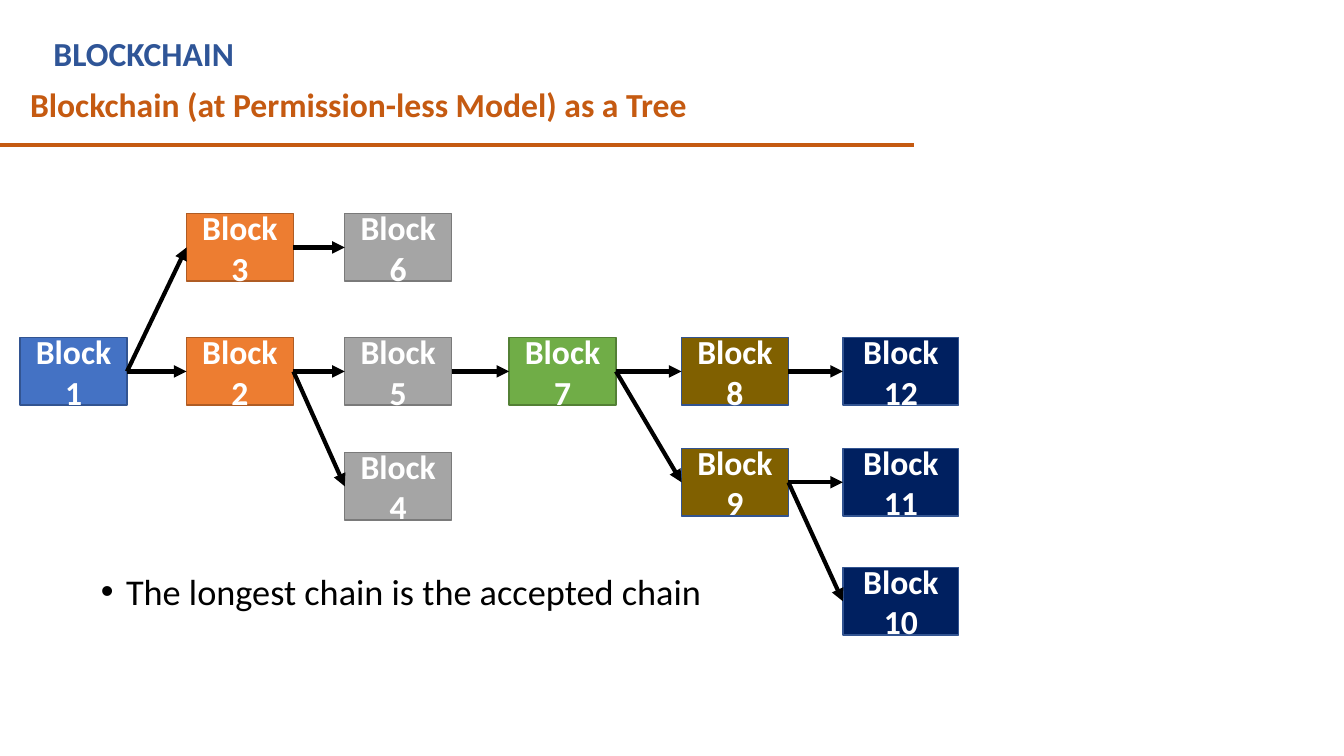
from lxml.etree import SubElement
from pptx import Presentation
from pptx.dml.color import RGBColor
from pptx.enum.shapes import MSO_CONNECTOR, MSO_SHAPE
from pptx.enum.text import MSO_ANCHOR, MSO_AUTO_SIZE, PP_ALIGN
from pptx.oxml.ns import qn
from pptx.util import Inches, Pt

COLOURS = {
    "heading": "2F5597", "accent": "C55A11", "ink": "000000", "white": "FFFFFF",
    "blue": "4472C4", "orange": "ED7D31", "grey": "A5A5A5", "green": "70AD47",
    "brown": "806000", "navy": "002060", "blue edge": "325491",
    "orange edge": "AF5C24", "grey edge": "7A7A7A", "green edge": "538035",
}
COLUMNS = [0.2, 1.85, 3.42, 5.05, 6.76, 8.36]
ROWS = {"top": 2.12, "main": 3.35, "fork": 4.45, "low fork": 4.49, "bottom": 5.63}
LEVELS = [
    ("blue", "blue edge", 1.06),
    ("orange", "orange edge", 1.06),
    ("grey", "grey edge", 1.06),
    ("green", "green edge", 1.06),
    ("brown", "blue edge", 1.06),
    ("navy", "blue edge", 1.15),
]
BLOCKS = {
    1: (0, "main"), 2: (1, "main"), 3: (1, "top"), 4: (2, "low fork"),
    5: (2, "main"), 6: (2, "top"), 7: (3, "main"), 8: (4, "main"),
    9: (4, "fork"), 10: (5, "bottom"), 11: (5, "fork"), 12: (5, "main"),
}
CHILDREN = {1: (2, 3), 3: (6,), 2: (5, 4), 5: (7,), 7: (8, 9), 8: (12,), 9: (11, 10)}
BLOCK_HEIGHT = 0.67
RIGHT_SIDE, LEFT_SIDE = 3, 1


def colour(name):
    """Return the named colour."""
    return RGBColor.from_string(COLOURS[name])


def place(shape, left, top, width, height):
    """Move and size a shape, in inches."""
    shape.left, shape.top = Inches(left), Inches(top)
    shape.width, shape.height = Inches(width), Inches(height)


def write(shape, text, size=24, ink="white", bold=True,
          align=PP_ALIGN.LEFT, anchor=MSO_ANCHOR.TOP):
    """Put one formatted paragraph in a shape and return it."""
    frame = shape.text_frame
    frame.word_wrap = True
    frame.auto_size = MSO_AUTO_SIZE.NONE
    frame.vertical_anchor = anchor
    para = frame.paragraphs[0]
    para.alignment = align
    span = para.add_run()
    span.text = text
    span.font.name = "Calibri"
    span.font.size = Pt(size)
    span.font.bold = bold
    span.font.color.rgb = colour(ink)
    return para


def add_bullet(para, indent):
    """Give a paragraph a round bullet with a hanging indent in inches."""
    properties = para._p.get_or_add_pPr()
    properties.set("marL", str(Inches(indent)))
    properties.set("indent", str(-Inches(indent)))
    SubElement(properties, qn("a:buFont")).set("typeface", "Arial")
    SubElement(properties, qn("a:buChar")).set("char", "•")


def add_block(page, number):
    """Draw one block of the chain at its column and row."""
    column, row = BLOCKS[number]
    fill, edge, width = LEVELS[column]
    box = page.shapes.add_shape(MSO_SHAPE.RECTANGLE, 0, 0, 0, 0)
    place(box, COLUMNS[column], ROWS[row], width, BLOCK_HEIGHT)
    box.shadow.inherit = False
    box.fill.solid()
    box.fill.fore_color.rgb = colour(fill)
    box.line.color.rgb = colour(edge)
    box.line.width = Pt(1)
    write(box, f"Block {number}", align=PP_ALIGN.CENTER, anchor=MSO_ANCHOR.MIDDLE)
    return box


def add_line(page, left=0, top=0, right=0, ink="ink"):
    """Draw a plain level line, in inches."""
    line = page.shapes.add_connector(
        MSO_CONNECTOR.STRAIGHT, Inches(left), Inches(top), Inches(right), Inches(top))
    line.line.color.rgb = colour(ink)
    line.line.width = Pt(3)
    SubElement(line._element.spPr, qn("a:effectLst"))
    return line


def add_arrow(page, parent, child):
    """Join a parent block to its child with an arrow."""
    arrow = add_line(page)
    arrow.begin_connect(parent, RIGHT_SIDE)
    arrow.end_connect(child, LEFT_SIDE)
    SubElement(arrow.line._get_or_add_ln(), qn("a:tailEnd")).set("type", "triangle")


def main():
    """Build the slide and save it."""
    deck = Presentation()
    deck.slide_width, deck.slide_height = Inches(13.33), Inches(7.5)
    page = deck.slides.add_slide(deck.slide_layouts[1])

    title, body = page.placeholders
    place(title, 0.43, 0.28, 8.2, 0.5)
    write(title, "BLOCKCHAIN", ink="heading")
    subtitle = page.shapes.add_textbox(0, 0, 0, 0)
    place(subtitle, 0.2, 0.78, 8.75, 0.5)
    write(subtitle, "Blockchain (at Permission-less Model) as a Tree", ink="accent")
    add_line(page, left=0, top=1.44, right=9.07, ink="accent")

    place(body, 0.9, 5.68, 12.43, 0.47)
    para = write(body, "The longest chain is the accepted chain",
                 size=25.9, ink="ink", bold=False)
    add_bullet(para, 0.25)
    para.line_spacing = 0.8
    para.space_before = Pt(0)

    boxes = {number: add_block(page, number) for number in BLOCKS}
    for parent, children in CHILDREN.items():
        for child in children:
            add_arrow(page, boxes[parent], boxes[child])

    deck.save("out.pptx")


if __name__ == "__main__":
    main()
